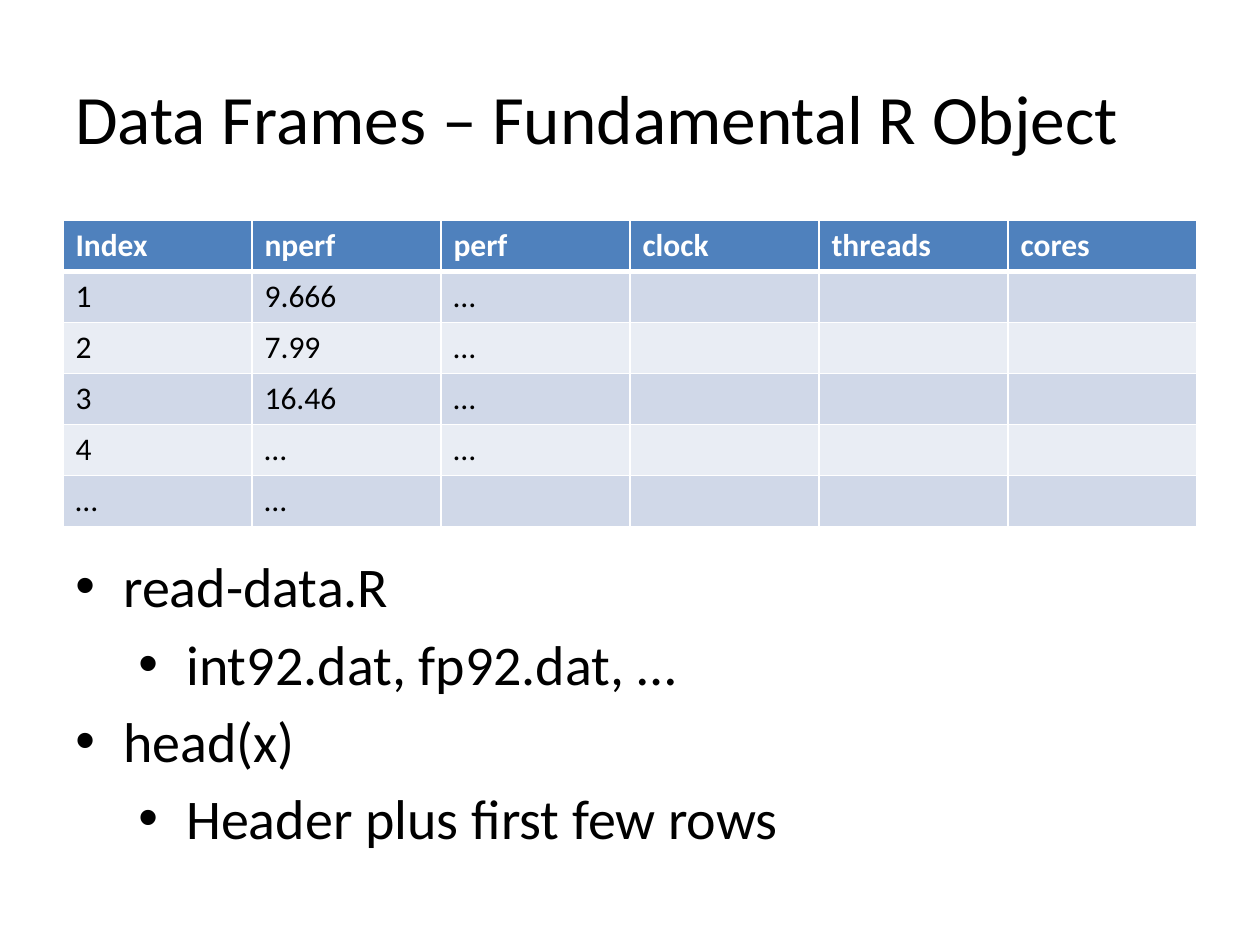
from dataclasses import dataclass
from lxml.etree import SubElement
from pptx import Presentation
from pptx.dml.color import RGBColor
from pptx.enum.text import MSO_ANCHOR
from pptx.oxml.ns import qn
from pptx.util import Inches, Pt


@dataclass(frozen=True)
class Theme:
    """Colours, font and type sizes of the slide."""
    font: str = "Calibri"
    ink: RGBColor = RGBColor(0x00, 0x00, 0x00)
    white: RGBColor = RGBColor(0xFF, 0xFF, 0xFF)
    header: RGBColor = RGBColor(0x4F, 0x81, 0xBD)
    bands: tuple = (RGBColor(0xD0, 0xD8, 0xE8), RGBColor(0xE9, 0xED, 0xF4))
    title: float = 39.6
    body: float = 32
    cell: float = 18


def write(paragraph, text, size, color, bold=False):
    """Put one formatted run into a paragraph."""
    run = paragraph.add_run()
    run.text = text
    looks = {"name": theme.font, "size": Pt(size), "bold": bold}
    for name, value in looks.items():
        setattr(run.font, name, value)
    run.font.color.rgb = color


def add_border(cell, side, points):
    """Draw a solid white line on one side of a cell."""
    line = SubElement(cell._tc.get_or_add_tcPr(), qn(f"a:ln{side}"), w=str(Pt(points)))
    fill = SubElement(line, qn("a:solidFill"))
    SubElement(fill, qn("a:srgbClr"), val=str(theme.white))


theme = Theme()
deck = Presentation()
deck.slide_width, deck.slide_height = Inches(10), Inches(7.5)
slide = deck.slides.add_slide(deck.slide_layouts[6])
left, width = Inches(0.5), Inches(9)

# Title
title = slide.shapes.add_textbox(left, Inches(0.3), width, Inches(1.25)).text_frame
title.word_wrap = True
title.vertical_anchor = MSO_ANCHOR.MIDDLE
write(title.paragraphs[0], "Data Frames – Fundamental R Object", theme.title, theme.ink)

# Data frame
records = [
    ["Index", "nperf", "perf", "clock", "threads", "cores"],
    ["1", "9.666", "…", "", "", ""],
    ["2", "7.99", "…", "", "", ""],
    ["3", "16.46", "…", "", "", ""],
    ["4", "…", "…", "", "", ""],
    ["…", "…", "", "", "", ""],
]
frame = slide.shapes.add_table(
    len(records), len(records[0]), left, Inches(1.75), width, Inches(2.43)).table
for row, record in enumerate(records):
    is_header = row == 0
    for column, value in enumerate(record):
        cell = frame.cell(row, column)
        borders = {"L": 1, "R": 1, "T": 3 if row == 1 else 1, "B": 3 if is_header else 1}
        for side, points in borders.items():
            add_border(cell, side, points)
        cell.fill.solid()
        cell.fill.fore_color.rgb = theme.header if is_header else theme.bands[(row - 1) % 2]
        if value:
            write(cell.text_frame.paragraphs[0], value, theme.cell,
                  theme.white if is_header else theme.ink, is_header)

# Bulleted notes
notes = [
    (0, "read-data.R"),
    (1, "int92.dat, fp92.dat, …"),
    (0, "head(x)"),
    (1, "Header plus first few rows"),
]
body = slide.shapes.add_textbox(left, Inches(4.33), width, Inches(2.92)).text_frame
body.word_wrap = True
for number, (level, text) in enumerate(notes):
    paragraph = body.add_paragraph() if number else body.paragraphs[0]
    paragraph.level = level
    paragraph.space_before = Pt(0.18 * theme.body)
    properties = paragraph._p.get_or_add_pPr()
    properties.set("marL", str(Inches(0.38 + 0.5 * level)))
    properties.set("indent", str(Inches(-0.38)))
    SubElement(properties, qn("a:buFont"), typeface="Arial")
    SubElement(properties, qn("a:buChar"), char="•")
    write(paragraph, text, theme.body, theme.ink)

deck.save("out.pptx")
